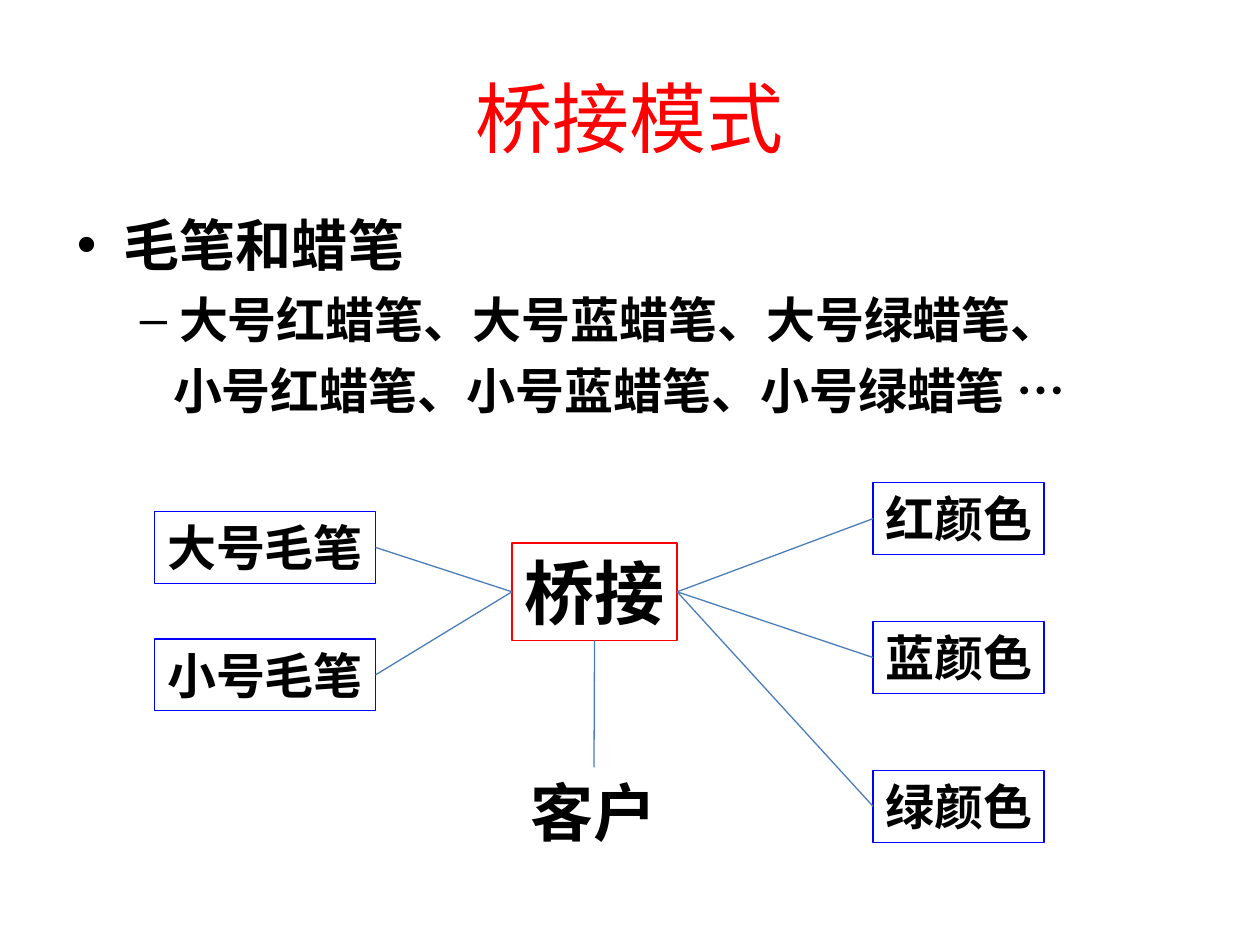
from dataclasses import dataclass

from lxml.etree import SubElement
from pptx import Presentation
from pptx.dml.color import RGBColor
from pptx.enum.lang import MSO_LANGUAGE_ID
from pptx.enum.shapes import MSO_CONNECTOR, MSO_SHAPE
from pptx.enum.text import MSO_ANCHOR, PP_ALIGN
from pptx.oxml.ns import qn
from pptx.util import Cm, Pt

TOP, LEFT, BOTTOM, RIGHT = range(4)


@dataclass(frozen=True)
class Theme:
    red: RGBColor = RGBColor(0xFF, 0x00, 0x00)
    blue: RGBColor = RGBColor(0x00, 0x00, 0xFF)
    black: RGBColor = RGBColor(0x00, 0x00, 0x00)
    link: RGBColor = RGBColor(0x4A, 0x7E, 0xBB)
    title: int = 44
    topic: int = 32
    item: int = 28
    bridge: int = 40
    client: int = 36
    rule: float = 0.75
    latin: str = "Calibri"
    chinese: str = "Noto Sans CJK SC"


THEME = Theme()


@dataclass(frozen=True)
class Box:
    """A rectangle in centimetres."""
    left: float
    top: float
    width: float
    height: float

    def inner(self, left, top, width, height):
        return Box(self.left + left, self.top + top, width, height)

    def lengths(self):
        return [Cm(v) for v in (self.left, self.top, self.width, self.height)]


def write(paragraph, text, size, color=THEME.black, bold=True, face=THEME.chinese,
          align=PP_ALIGN.LEFT, before=0, margin=0, indent=0, bullet=None):
    properties = paragraph._p.get_or_add_pPr()
    properties.set("marL", str(Cm(margin)))
    properties.set("indent", str(Cm(indent)))
    if bullet:
        SubElement(properties, qn("a:buFont"), typeface="Arial")
        SubElement(properties, qn("a:buChar"), char=bullet)
    paragraph.alignment = align
    paragraph.space_before = Pt(before)
    run = paragraph.add_run()
    run.text = text
    font = run.font
    font.size, font.bold, font.name = Pt(size), bold, face
    font.color.rgb = color
    font.language_id = MSO_LANGUAGE_ID.SIMPLIFIED_CHINESE
    SubElement(run._r.get_or_add_rPr(), qn("a:ea"), typeface=THEME.chinese)


def add_title(slide, box):
    frame = slide.shapes.add_textbox(*box.lengths()).text_frame
    frame.word_wrap = True
    frame.vertical_anchor = MSO_ANCHOR.MIDDLE
    write(frame.paragraphs[0], "桥接模式", THEME.title, color=THEME.red, bold=False,
          face=THEME.latin, align=PP_ALIGN.CENTER)


def add_outline(slide, box):
    frame = slide.shapes.add_textbox(*box.lengths()).text_frame
    frame.word_wrap = True
    write(frame.paragraphs[0], "毛笔和蜡笔", THEME.topic, face=THEME.latin,
          margin=0.95, indent=-0.95, bullet="•")
    write(frame.add_paragraph(), "大号红蜡笔、大号蓝蜡笔、大号绿蜡笔、", THEME.item,
          face=THEME.latin, before=7, margin=2.06, indent=-0.79, bullet="–")
    write(frame.add_paragraph(), "小号红蜡笔、小号蓝蜡笔、小号绿蜡笔 …", THEME.item,
          face=THEME.latin, before=7, margin=1.94)


def add_node(slide, box, text, size=THEME.item, border=None):
    node = slide.shapes.add_shape(MSO_SHAPE.RECTANGLE, *box.lengths())
    node.shadow.inherit = False
    node.fill.background()
    if border is None:
        node.line.fill.background()
    else:
        node.line.color.rgb = border
        node.line.width = Pt(THEME.rule)
    frame = node.text_frame
    frame.word_wrap = False
    frame.vertical_anchor = MSO_ANCHOR.TOP
    write(frame.paragraphs[0], text, size)
    return node


def link(slide, start, start_side, end, end_side):
    line = slide.shapes.add_connector(MSO_CONNECTOR.STRAIGHT, 0, 0, 0, 0)
    line.begin_connect(start, start_side)
    line.end_connect(end, end_side)
    line.line.color.rgb = THEME.link
    line.line.width = Pt(THEME.rule)
    SubElement(line._element.spPr, qn("a:effectLst"))


def add_bridge_diagram(slide, box):
    """Brushes on the left and colours on the right, joined by the bridge."""
    bridge = add_node(slide, box.inner(7.2, 1.22, 3.33, 1.96), "桥接",
                      THEME.bridge, THEME.red)
    client = add_node(slide, box.inner(7.33, 5.74, 3.05, 1.78), "客户", THEME.client)
    link(slide, client, TOP, bridge, BOTTOM)

    for text, top in (("大号毛笔", 0.58), ("小号毛笔", 3.15)):
        brush = add_node(slide, box.inner(0, top, 4.45, 1.45), text, border=THEME.blue)
        link(slide, brush, RIGHT, bridge, LEFT)
    for text, top in (("红颜色", 0), ("蓝颜色", 2.8), ("绿颜色", 5.8)):
        color = add_node(slide, box.inner(14.48, top, 3.45, 1.45), text, border=THEME.blue)
        link(slide, color, LEFT, bridge, RIGHT)


def main():
    deck = Presentation()
    deck.slide_width, deck.slide_height = Cm(25.4), Cm(19.05)
    slide = deck.slides.add_slide(deck.slide_layouts[6])
    add_title(slide, Box(1.27, 0.76, 22.86, 3.18))
    add_outline(slide, Box(1.3, 4.11, 22.86, 12.57))
    add_bridge_diagram(slide, Box(3.12, 9.73, 17.93, 7.52))
    deck.save("out.pptx")


if __name__ == "__main__":
    main()
